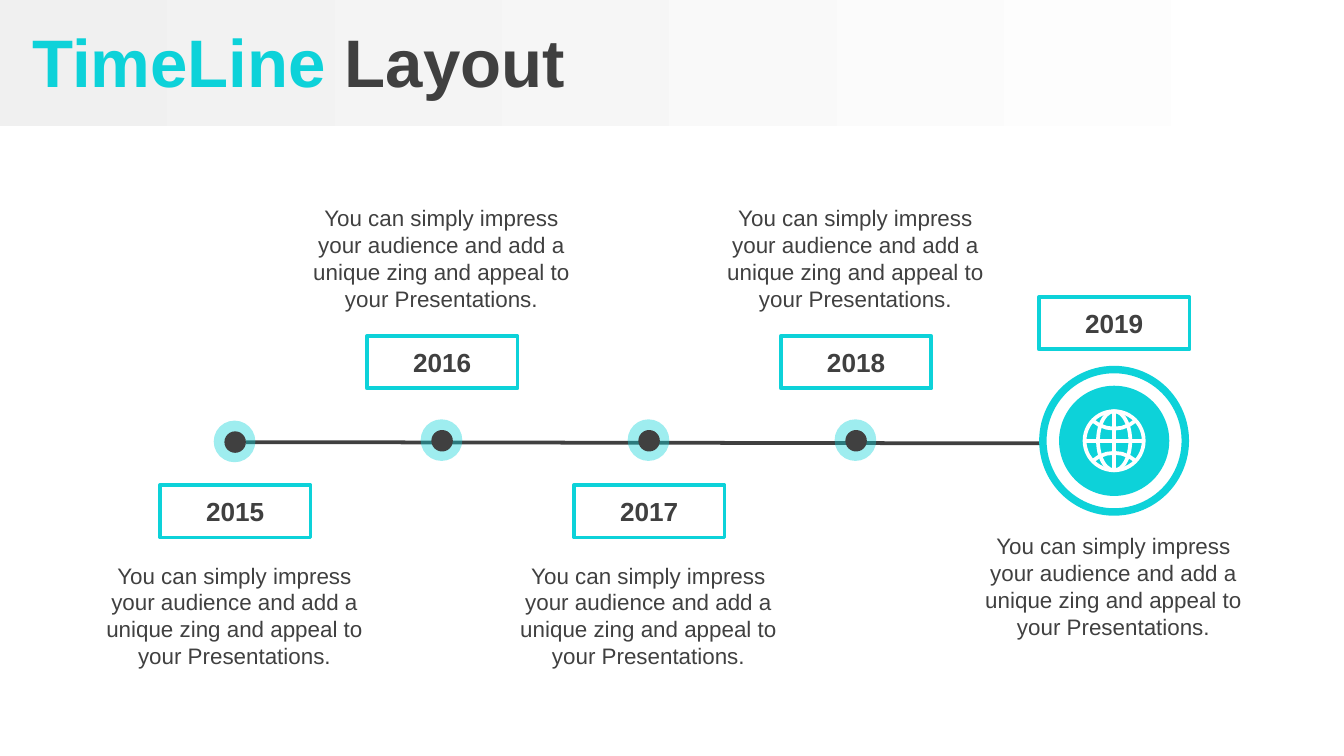
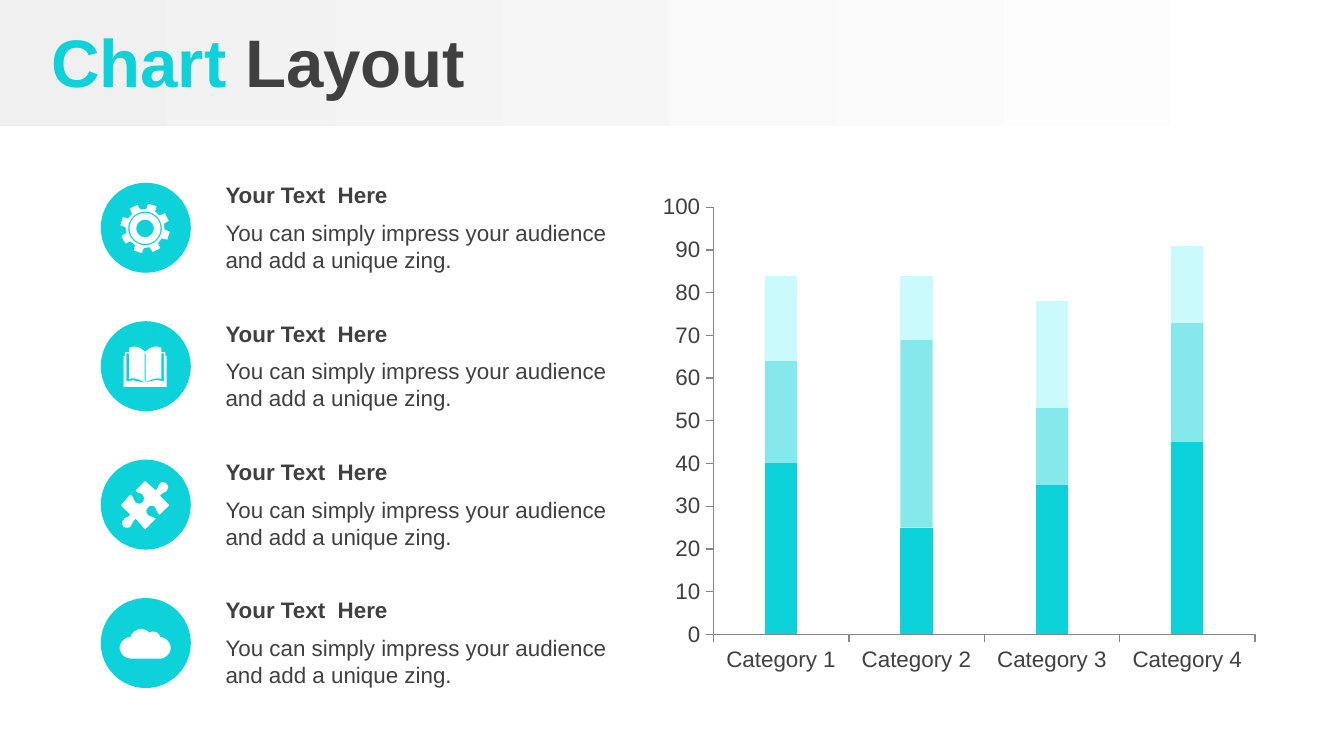
from math import cos, pi, sin

from lxml.etree import SubElement
from pptx import Presentation
from pptx.chart.data import CategoryChartData
from pptx.dml.color import RGBColor
from pptx.enum.chart import XL_CHART_TYPE, XL_TICK_MARK
from pptx.enum.shapes import MSO_CONNECTOR, MSO_SHAPE
from pptx.enum.text import MSO_ANCHOR, MSO_AUTO_SIZE, PP_ALIGN
from pptx.oxml.ns import qn
from pptx.util import Emu, Pt

SCALE = 9144
FONT = "Arial"
CYAN = RGBColor(0x0D, 0xD2, 0xD9)
PALE = RGBColor(0xCA, 0xFA, 0xFC)
DARK = RGBColor(0x40, 0x40, 0x40)
AXIS = RGBColor(0x86, 0x86, 0x86)
BAND = RGBColor(0xF0, 0xF0, 0xF0)
WHITE = RGBColor(0xFF, 0xFF, 0xFF)

IMPRESS = "You can simply impress your audience and add a unique zing"
YEARS = ["2015", "2016", "2017", "2018"]
CATEGORIES = ["Category 1", "Category 2", "Category 3", "Category 4"]
SERIES = [
    ("Series 1", (40, 25, 35, 45), CYAN, 100),
    ("Series 2", (24, 44, 18, 28), CYAN, 50),
    ("Series 3", (20, 15, 25, 18), PALE, 100),
]

CLOUD = [
    (105, 468), (107, 468, 110, 469, 111, 471), (112, 470, 113, 470, 114, 470),
    (117, 470, 119, 472, 119, 474), (123, 474, 127, 478, 127, 482),
    (127, 486, 124, 489, 120, 490), (97, 490), (93, 490, 89, 486, 89, 482),
    (89, 478, 93, 474, 97, 474), (98, 471, 101, 468, 105, 468),
]
PUZZLE = [
    (124, 360), (125, 361, 126, 363, 124, 365), (123, 367, 121, 366, 119, 369),
    (126, 376), (119, 383), (116, 381, 117, 379, 115, 377),
    (114, 376, 111, 376, 110, 378), (109, 379, 108, 381, 110, 383),
    (112, 385, 113, 384, 116, 386), (108, 394), (101, 386),
    (98, 389, 99, 389, 97, 392), (96, 393, 93, 393, 92, 392),
    (91, 391, 90, 388, 92, 387), (93, 384, 95, 386, 97, 383), (90, 376),
    (97, 368), (100, 370, 99, 372, 101, 374), (103, 375, 105, 375, 106, 374),
    (107, 373, 108, 370, 106, 368), (104, 366, 103, 368, 101, 365),
    (108, 358), (116, 365), (118, 363, 117, 362, 119, 360),
    (120, 358, 123, 359, 124, 360),
]
BOOK_COVER = [
    (108, 262), (111, 259, 113, 258, 116, 258), (117, 258, 119, 258, 120, 259),
    (120, 262), (123, 262), (123, 265), (124, 265), (124, 288), (92, 288),
    (92, 265), (93, 265), (93, 262), (96, 262), (96, 259),
    (98, 258, 99, 258, 100, 258), (103, 258, 105, 259, 108, 262),
]
BOOK_RIGHT = [
    (108, 285), (114, 283, 116, 282, 122, 284), (122, 263), (120, 263),
    (120, 282), (117, 281, 112, 282, 108, 285),
]
BOOK_LEFT = [
    (108, 285), (104, 282, 100, 281, 96, 282), (96, 263), (94, 263),
    (94, 284), (100, 282, 103, 284, 108, 285),
]
BOOK_SPINE = [(107.7, 263), (108.3, 263), (108.3, 284), (107.7, 284)]


def px(n):
    return Emu(round(n * SCALE))


def box(x, y, w, h):
    return px(x), px(y), px(w), px(h)


def set_alpha(element, percent):
    for color in element.iter(qn("a:srgbClr")):
        SubElement(color, qn("a:alpha")).set("val", str(percent * 1000))


def style_font(font, size, color=DARK, bold=False):
    font.name = FONT
    font.size = Pt(size)
    font.bold = bold
    font.color.rgb = color


def write(tf, text, size, bold=False, align=PP_ALIGN.LEFT):
    tf.word_wrap = True
    tf.text = text
    p = tf.paragraphs[0]
    p.alignment = align
    style_font(p.runs[0].font, size, bold=bold)


def paint(shape, fill=None, line=None, width=0):
    shape.shadow.inherit = False
    if fill is None:
        shape.fill.background()
    else:
        shape.fill.solid()
        shape.fill.fore_color.rgb = fill
    if line is None:
        shape.line.fill.background()
    else:
        shape.line.color.rgb = line
        shape.line.width = Pt(width)
    return shape


def add_ellipse(s, x, y, w, h, fill=None, line=None, width=0):
    shape = s.shapes.add_shape(MSO_SHAPE.OVAL, *box(x, y, w, h))
    return paint(shape, fill, line, width)


def add_line(s, x1, y1, x2, y2, color):
    line = s.shapes.add_connector(MSO_CONNECTOR.STRAIGHT, px(x1), px(y1), px(x2), px(y2))
    line.line.color.rgb = color
    line.line.width = Pt(2)
    SubElement(line.element.spPr, qn("a:effectLst"))


def add_text(s, x, y, w, h, text, bold=False, align=PP_ALIGN.LEFT):
    tf = s.shapes.add_textbox(*box(x, y, w, h)).text_frame
    tf.auto_size = MSO_AUTO_SIZE.SHAPE_TO_FIT_TEXT
    write(tf, text, 12, bold, align)


def trace(outline, steps=6):
    points = [outline[0]]
    for part in outline[1:]:
        if len(part) == 2:
            points.append(part)
            continue
        x0, y0 = points[-1]
        x1, y1, x2, y2, x3, y3 = part
        for i in range(1, steps + 1):
            t = i / steps
            a, b, c, d = (1 - t) ** 3, 3 * t * (1 - t) ** 2, 3 * t * t * (1 - t), t ** 3
            points.append((a * x0 + b * x1 + c * x2 + d * x3,
                           a * y0 + b * y1 + c * y2 + d * y3))
    return points


def add_outline(s, outlines, close=True):
    builder = None
    for outline in outlines:
        points = [(px(x), px(y)) for x, y in trace(outline)]
        if builder is None:
            builder = s.shapes.build_freeform(*points[0], scale=1.0)
        else:
            builder.move_to(*points[0])
        builder.add_line_segments(points[1:], close=close)
    return builder.convert_to_shape()


def polar(cx, cy, radius, angle):
    return cx + radius * cos(angle), cy + radius * sin(angle)


def circle(cx, cy, radius):
    return [polar(cx, cy, radius, 2 * pi * i / 40) for i in range(40)]


def add_gear(s, cx, cy):
    teeth = []
    for i in range(8):
        middle = 2 * pi * i / 8 + 0.3
        for offset, radius in ((-0.24, 14.5), (-0.17, 18.5), (0.17, 18.5), (0.24, 14.5)):
            teeth.append(polar(cx, cy, radius, middle + offset))
    rings = [circle(cx, cy, radius) for radius in (12.5, 11.5, 6.5)]
    paint(add_outline(s, [teeth] + rings), WHITE)


def add_globe(s, cx, cy):
    for rx in (22, 12):
        add_ellipse(s, cx - rx, cy - 22, 2 * rx, 44, line=WHITE, width=2)
    add_line(s, cx - 22, cy, cx + 22, cy, WHITE)
    add_line(s, cx, cy - 22, cx, cy + 22, WHITE)
    for side in (-1, 1):
        edge, bend = cy + 15 * side, cy + 7 * side
        arc = [(cx - 16, edge), (cx - 7, bend, cx + 7, bend, cx + 16, edge)]
        paint(add_outline(s, [arc], close=False), line=WHITE, width=2)


def add_band(s, layout):
    band = paint(s.shapes.add_shape(MSO_SHAPE.RECTANGLE, *box(0, 0, 996, 94)))
    band.fill.gradient()
    band.fill.gradient_angle = 0
    for stop, color, position in zip(band.fill.gradient_stops, (BAND, WHITE), (0, 1)):
        stop.color.rgb = color
        stop.position = position
    layout.shapes.element.insert(2, band.element)


def set_title(s, accent, rest, indent):
    title = s.shapes.title
    title.left, title.top, title.width, title.height = box(0, 3, 1000, 85)
    tf = title.text_frame
    tf.vertical_anchor = MSO_ANCHOR.MIDDLE
    tf.margin_left = px(indent)
    write(tf, accent, 36, True)
    p = tf.paragraphs[0]
    p.add_run().text = rest
    for r, color in zip(p.runs, (CYAN, DARK)):
        style_font(r.font, 36, color, True)


def add_dot(s, x, y):
    halo = add_ellipse(s, x, y, 31, 31, CYAN)
    set_alpha(halo.element, 40)
    add_ellipse(s, x + 8, y + 8, 16, 16, DARK)


def add_milestone(s, x, year_y, text_y, year):
    shape = s.shapes.add_shape(MSO_SHAPE.RECTANGLE, *box(x + 57, year_y, 112, 39))
    paint(shape, line=CYAN, width=2)
    shape.text_frame.vertical_anchor = MSO_ANCHOR.MIDDLE
    write(shape.text_frame, year, 14, True, PP_ALIGN.CENTER)
    add_text(s, x, text_y, 225, 91, IMPRESS + " and appeal to your Presentations.",
             align=PP_ALIGN.CENTER)


def add_stacked_chart(s):
    data = CategoryChartData()
    data.categories = CATEGORIES
    for name, values, _, _ in SERIES:
        data.add_series(name, values)
    chart = s.shapes.add_chart(XL_CHART_TYPE.COLUMN_STACKED, *box(484, 138, 459, 369), data).chart
    chart.has_legend = False
    chart.has_title = False
    style_font(chart.font, 12)
    plot = chart.plots[0]
    plot.gap_width = 321
    plot.overlap = 100
    plot.vary_by_categories = False
    for series, (_, _, color, opacity) in zip(plot.series, SERIES):
        series.format.fill.solid()
        series.format.fill.fore_color.rgb = color
        if opacity < 100:
            set_alpha(series._element, opacity)
    for axis in (chart.category_axis, chart.value_axis):
        axis.has_major_gridlines = False
        axis.major_tick_mark = XL_TICK_MARK.OUTSIDE
        axis.format.line.color.rgb = AXIS
        axis.format.line.width = Pt(0.75)
        style_font(axis.tick_labels.font, 12)
    chart.value_axis.minimum_scale = 0
    chart.value_axis.maximum_scale = 100
    chart.value_axis.major_unit = 10


def build_timeline(s):
    set_title(s, "TimeLine", " Layout", 24)
    add_line(s, 183, 329, 837, 330, DARK)
    add_ellipse(s, 776, 275, 106, 106, WHITE, CYAN, 4)
    add_ellipse(s, 788, 287, 82, 82, CYAN)
    add_globe(s, 829, 328)
    for i, year in enumerate(YEARS):
        x = 62 + 154 * i
        add_dot(s, x + 97, 312 if i else 313)
        year_y, text_y = (250, 147) if i % 2 else (361, 413)
        add_milestone(s, x, year_y, text_y, year)
    add_milestone(s, 716, 221, 391, "2019")


def build_chart(s):
    set_title(s, "Chart ", "Layout", 38)
    add_stacked_chart(s)
    for i in range(4):
        y = 136 + 103 * i
        add_ellipse(s, 75, y, 67, 67, CYAN)
        add_text(s, 158, y - 6, 310, 30, "Your Text  Here", bold=True)
        add_text(s, 158, y + 22, 310, 50, IMPRESS + ".")
    add_gear(s, 108, 170)
    paint(add_outline(s, [BOOK_COVER, BOOK_RIGHT, BOOK_LEFT, BOOK_SPINE]), WHITE)
    paint(add_outline(s, [PUZZLE]), WHITE)
    paint(add_outline(s, [CLOUD]), WHITE)


def main():
    prs = Presentation()
    prs.slide_width = px(1000)
    prs.slide_height = Emu(prs.slide_width * 9 // 16)
    layout = prs.slide_layouts[5]
    timeline, chart = [prs.slides.add_slide(layout) for _ in range(2)]
    add_band(timeline, layout)
    build_timeline(timeline)
    build_chart(chart)
    prs.save("out.pptx")


if __name__ == "__main__":
    main()
